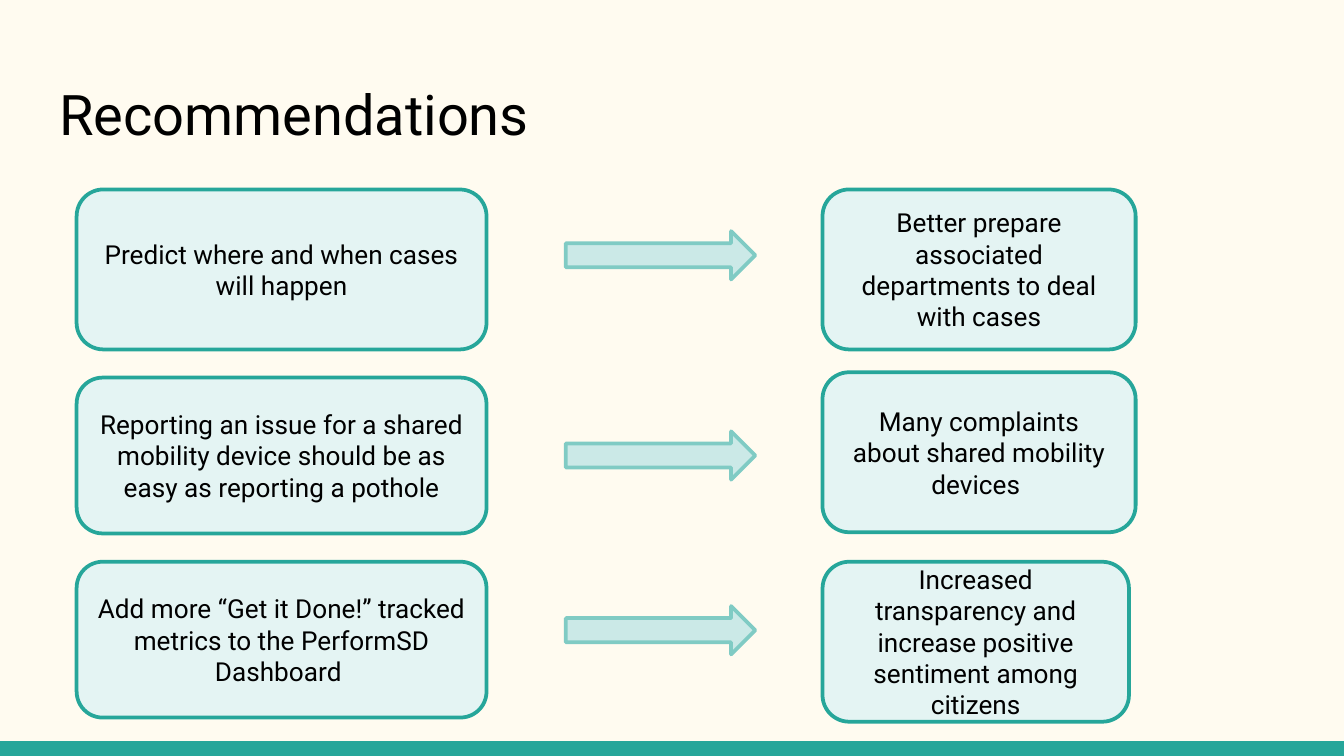
from dataclasses import dataclass

import pptx
import pptx.dml.color
import pptx.enum.shapes
import pptx.enum.text
import pptx.util

Inches = pptx.util.Inches
Kind = pptx.enum.shapes.MSO_SHAPE
Align = pptx.enum.text.PP_ALIGN
Anchor = pptx.enum.text.MSO_ANCHOR

HEX = {
    "page": "FFFBF0", "teal": "26A69A", "card": "E4F4F3",
    "arrow": "CBE9E7", "edge": "80CBC4", "ink": "000000",
}
WIDE = 10
HIGH = WIDE * 9 / 16
BAND = 0.11


@dataclass
class Card:
    text: str
    top: float
    width: float
    height: float


@dataclass
class Row:
    action: Card
    arrow: float
    effect: Card


ROWS = [
    Row(Card("Predict where and when cases will happen", 1.41, 3.05, 1.19),
        1.72,
        Card("Better prepare associated departments to deal with cases",
             1.41, 2.33, 1.19)),
    Row(Card("Reporting an issue for a shared mobility device should be "
             "as easy as reporting a pothole", 2.81, 3.05, 1.16),
        3.21,
        Card("Many complaints about shared mobility devices ",
             2.77, 2.33, 1.19)),
    Row(Card("Add more “Get it Done!” tracked metrics to the PerformSD "
             "Dashboard ", 4.18, 3.05, 1.16),
        4.51,
        Card("Increased transparency and increase positive sentiment "
             "among citizens", 4.18, 2.28, 1.19)),
]


def color(name: str) -> pptx.dml.color.RGBColor:
    return pptx.dml.color.RGBColor.from_string(HEX[name])


def draw(slide, kind, box: tuple, fill: str, line: str = ""):
    """Add a flat preset shape; without a line colour it has no outline."""
    shape = slide.shapes.add_shape(kind, *map(Inches, box))
    shape.shadow.inherit = False
    shape.fill.solid()
    shape.fill.fore_color.rgb = color(fill)
    if line:
        shape.line.color.rgb = color(line)
        shape.line.width = pptx.util.Pt(2)
    else:
        shape.line.fill.background()
    return shape


def write(shape, text: str, size: int, align, form: dict) -> None:
    frame = shape.text_frame
    frame.text = text
    for key, value in form.items():
        setattr(frame, key, value)
    para = frame.paragraphs[0]
    para.alignment = align
    font = para.runs[0].font
    for key, value in {"name": "Roboto", "size": pptx.util.Pt(size)}.items():
        setattr(font, key, value)
    font.color.rgb = color("ink")


def add_card(slide, left: float, card: Card) -> None:
    box = (left, card.top, card.width, card.height)
    shape = draw(slide, Kind.ROUNDED_RECTANGLE, box, "card", "teal")
    write(shape, card.text, 14, Align.CENTER, {
        "word_wrap": True, "vertical_anchor": Anchor.MIDDLE,
        "margin_left": Inches(0.1), "margin_right": Inches(0.1),
        "margin_top": Inches(0.05), "margin_bottom": Inches(0.05),
    })


def add_title(slide, text: str) -> None:
    title = slide.shapes.title
    place = {"left": 0.34, "top": 0.49, "width": 9.32, "height": 0.67}
    for key, value in place.items():
        setattr(title, key, Inches(value))
    sides = ("left", "right", "top", "bottom")
    form = {f"margin_{side}": Inches(0.1) for side in sides}
    form.update(word_wrap=True, vertical_anchor=Anchor.TOP,
                auto_size=pptx.enum.text.MSO_AUTO_SIZE.NONE)
    write(title, text, 30, Align.LEFT, form)


def main() -> None:
    deck = pptx.Presentation()
    deck.slide_width, deck.slide_height = Inches(WIDE), Inches(HIGH)
    slide = deck.slides.add_slide(deck.slide_layouts[5])

    # Page colour, bottom band and title
    slide.background.fill.solid()
    slide.background.fill.fore_color.rgb = color("page")
    draw(slide, Kind.RECTANGLE, (0, HIGH - BAND, WIDE, BAND), "teal")
    add_title(slide, "Recommendations")

    # Each action leads to its effect
    for row in ROWS:
        add_card(slide, 0.57, row.action)
        draw(slide, Kind.RIGHT_ARROW, (4.21, row.arrow, 1.41, 0.36),
             "arrow", "edge")
        add_card(slide, 6.12, row.effect)

    deck.save("out.pptx")


if __name__ == "__main__":
    main()
